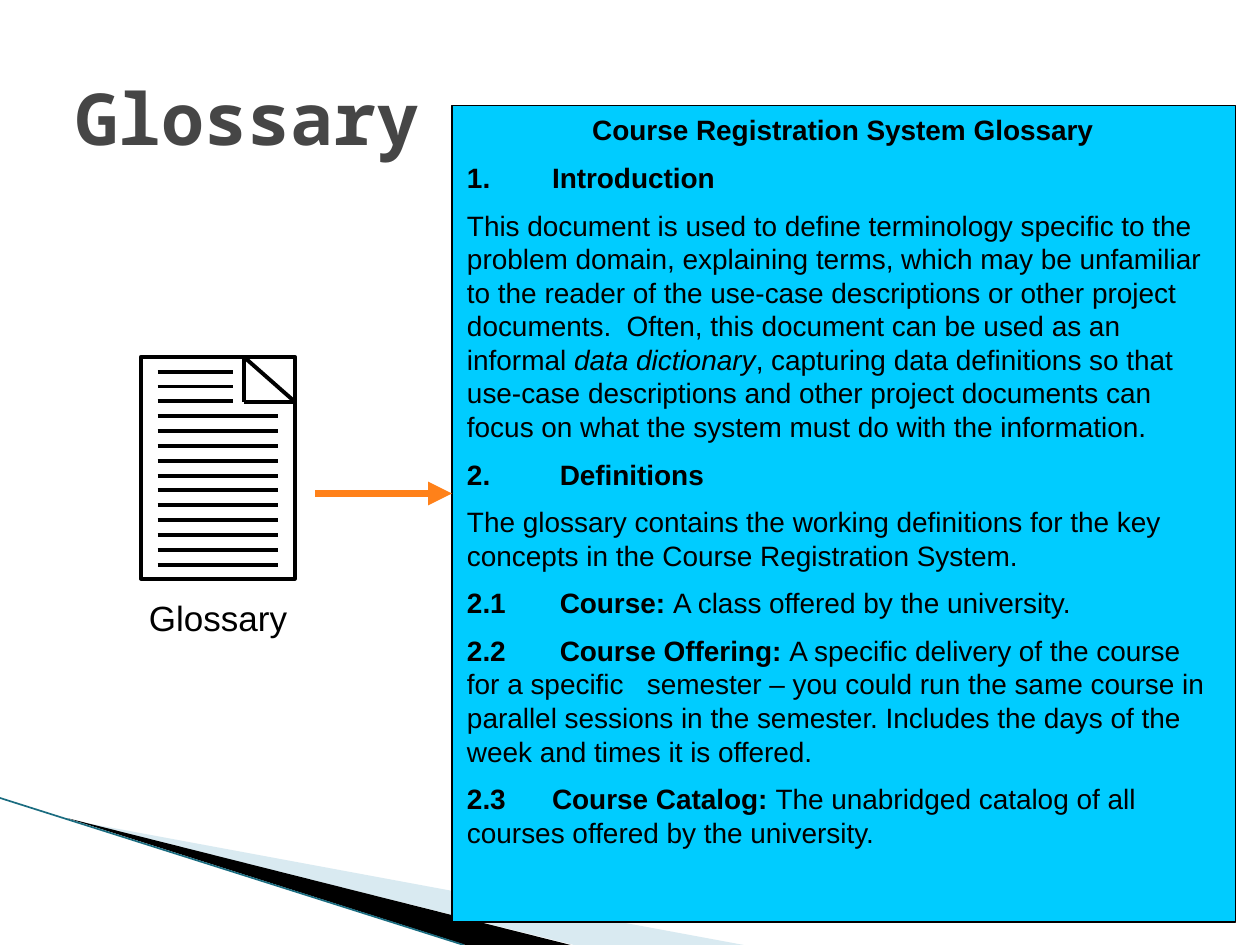
from dataclasses import dataclass

from lxml import etree
from pptx import Presentation
from pptx.dml.color import RGBColor
from pptx.enum.shapes import MSO_CONNECTOR, MSO_SHAPE
from pptx.enum.text import MSO_ANCHOR, PP_ALIGN
from pptx.oxml.ns import qn
from pptx.util import Pt

STRAIGHT = MSO_CONNECTOR.STRAIGHT
RECTANGLE = MSO_SHAPE.RECTANGLE
LEFT, CENTER = PP_ALIGN.LEFT, PP_ALIGN.CENTER
TOP, MIDDLE = MSO_ANCHOR.TOP, MSO_ANCHOR.MIDDLE


@dataclass(frozen=True)
class Theme:
    ink: str = "000000"
    title: str = "464646"
    panel: str = "00CCFF"
    arrow: str = "FF8119"
    wedge: str = "A0CBDC"
    edge: str = "1A6C80"
    title_font: str = "Noto Sans Mono"
    body_font: str = "Arial"
    title_size: float = 41
    label_size: float = 20
    body_size: float = 16


THEME = Theme()

REGULAR, BOLD, ITALIC = "regular", "bold", "italic"
NARROW_TAB, WIDE_TAB, PHRASE_TAB = 48.6, 53, 102.8

GLOSSARY = [
    ([], [("Course Registration System Glossary", BOLD)]),
    ([NARROW_TAB], [("1.\tIntroduction", BOLD)]),
    ([], [
        ("This document is used to define terminology specific to the problem domain, "
         "explaining terms, which may be unfamiliar to the reader of the use-case "
         "descriptions or other project documents.  Often, this document can be used "
         "as an informal ", REGULAR),
        ("data dictionary", ITALIC),
        (", capturing data definitions so that use-case descriptions and other project "
         "documents can focus on what the system must do with the information.", REGULAR)]),
    ([WIDE_TAB], [("2.\tDefinitions", BOLD)]),
    ([], [
        ("The glossary contains the working definitions for the key concepts in the "
         "Course Registration System.", REGULAR)]),
    ([WIDE_TAB], [
        ("2.1\tCourse: ", BOLD), ("A class offered by the university.", REGULAR)]),
    ([WIDE_TAB, PHRASE_TAB], [
        ("2.2\tCourse Offering: ", BOLD),
        ("A specific delivery of the course for a specific\tsemester – you could run the "
         "same course in parallel sessions in the semester. Includes the days of the "
         "week and times it is offered.", REGULAR)]),
    ([NARROW_TAB], [
        ("2.3\tCourse Catalog: ", BOLD),
        ("The unabridged catalog of all courses offered by the university.", REGULAR)]),
]


def color(value):
    return RGBColor.from_string(value)


def add_run(paragraph, text, size, style=REGULAR, font=THEME.body_font, ink=THEME.ink):
    run = paragraph.add_run()
    run.text = text
    run.font.name = font
    run.font.size = Pt(size)
    run.font.bold = style == BOLD
    run.font.italic = style == ITALIC
    run.font.color.rgb = color(ink)


def add_tabs(paragraph, positions):
    tabs = etree.SubElement(paragraph._p.get_or_add_pPr(), qn("a:tabLst"))
    for position in positions:
        etree.SubElement(tabs, qn("a:tab"), pos=str(Pt(position)), algn="l")


def add_line(shapes, start, end, ink, width, arrow=False):
    line = shapes.add_connector(STRAIGHT, *map(Pt, start + end))
    line.line.color.rgb = color(ink)
    line.line.width = Pt(width)
    if arrow:
        etree.SubElement(line.line._get_or_add_ln(), qn("a:tailEnd"), type="triangle")
    etree.SubElement(line._element.spPr, qn("a:effectLst"))


def add_rectangle(shapes, left, top, width, height, line_width, fill=None):
    shape = shapes.add_shape(RECTANGLE, Pt(left), Pt(top), Pt(width), Pt(height))
    shape.shadow.inherit = False
    if fill:
        shape.fill.solid()
        shape.fill.fore_color.rgb = color(fill)
    else:
        shape.fill.background()
    shape.line.color.rgb = color(THEME.ink)
    shape.line.width = Pt(line_width)
    return shape


def add_wedge(slide, points, fill, opacity=100):
    start, *rest = [(Pt(x), Pt(y)) for x, y in points]
    builder = slide.shapes.build_freeform(*start)
    builder.add_line_segments(rest, close=True)
    shape = builder.convert_to_shape()
    shape.shadow.inherit = False
    shape.fill.solid()
    shape.fill.fore_color.rgb = color(fill)
    shape.line.fill.background()
    if opacity < 100:
        fill_color = shape._element.spPr.find(qn("a:solidFill"))[0]
        etree.SubElement(fill_color, qn("a:alpha"), val=str(opacity * 1000))


def add_background(slide):
    add_wedge(slide, [(39.6, 468.5), (425, 540), (328, 540)], THEME.wedge, 40)
    add_wedge(slide, [(38.2, 467.5), (326, 540), (266, 540)], THEME.ink)
    add_line(slide.shapes, (0, 456), (265, 540), THEME.edge, 0.95)


def add_document_icon(slide):
    left, top, width, height = 80.6, 203.8, 87.8, 126.9
    fold_left, fold_bottom, right = 139.2, 229.5, left + width
    shapes = slide.shapes.add_group_shape().shapes
    add_rectangle(shapes, left, top, width, height, 2.25)
    corners = [(fold_left, top), (right, fold_bottom), (fold_left, fold_bottom)]
    for start, end in zip(corners, corners[1:] + corners[:1]):
        add_line(shapes, start, end, THEME.ink, 2.25)
    for row in range(14):
        y = 212.4 + 8.48 * row
        row_end = 133 if row < 3 else 158.6
        add_line(shapes, (90, y), (row_end, y), THEME.ink, 2.25)


def add_label(slide, text):
    box = slide.shapes.add_textbox(Pt(77.8), Pt(337.4), Pt(93.6), Pt(31))
    box.text_frame.word_wrap = False
    paragraph = box.text_frame.paragraphs[0]
    paragraph.alignment = CENTER
    add_run(paragraph, text, THEME.label_size)


def add_title(slide, text):
    title = slide.shapes.title
    title.left, title.top, title.width, title.height = map(Pt, (36, 21.6, 648, 90))
    title.text_frame.vertical_anchor = MIDDLE
    paragraph = title.text_frame.paragraphs[0]
    paragraph.alignment = LEFT
    add_run(paragraph, text, THEME.title_size, BOLD, THEME.title_font, THEME.title)


def add_glossary_panel(slide):
    panel = add_rectangle(slide.shapes, 258.2, 60.2, 447.8, 466.6, 0.75, THEME.panel)
    frame = panel.text_frame
    frame.word_wrap = True
    frame.vertical_anchor = TOP
    frame.margin_left, frame.margin_right = Pt(8.64), Pt(9.5)
    frame.margin_top = frame.margin_bottom = Pt(4.32)
    for index, (tab_positions, runs) in enumerate(GLOSSARY):
        paragraph = frame.add_paragraph() if index else frame.paragraphs[0]
        paragraph.alignment = LEFT if index else CENTER
        if index:
            paragraph.space_before = Pt(8)
        if tab_positions:
            add_tabs(paragraph, tab_positions)
        for text, style in runs:
            add_run(paragraph, text, THEME.body_size, style)


def main():
    presentation = Presentation()
    presentation.slide_width, presentation.slide_height = Pt(720), Pt(540)
    slide = presentation.slides.add_slide(presentation.slide_layouts[5])
    add_background(slide)
    add_document_icon(slide)
    add_label(slide, "Glossary")
    add_title(slide, "Glossary")
    add_glossary_panel(slide)
    add_line(slide.shapes, (180, 282), (258.2, 282), THEME.arrow, 4.5, arrow=True)
    presentation.save("out.pptx")


if __name__ == "__main__":
    main()
